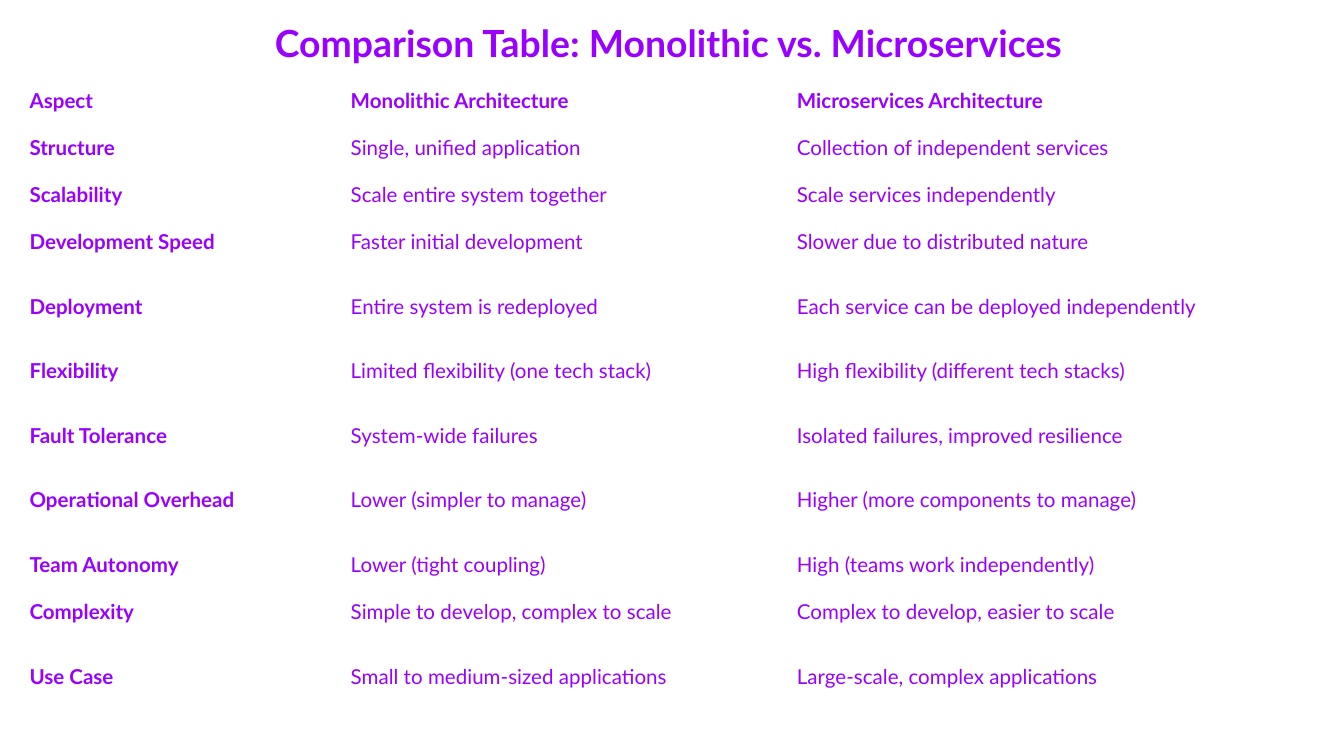
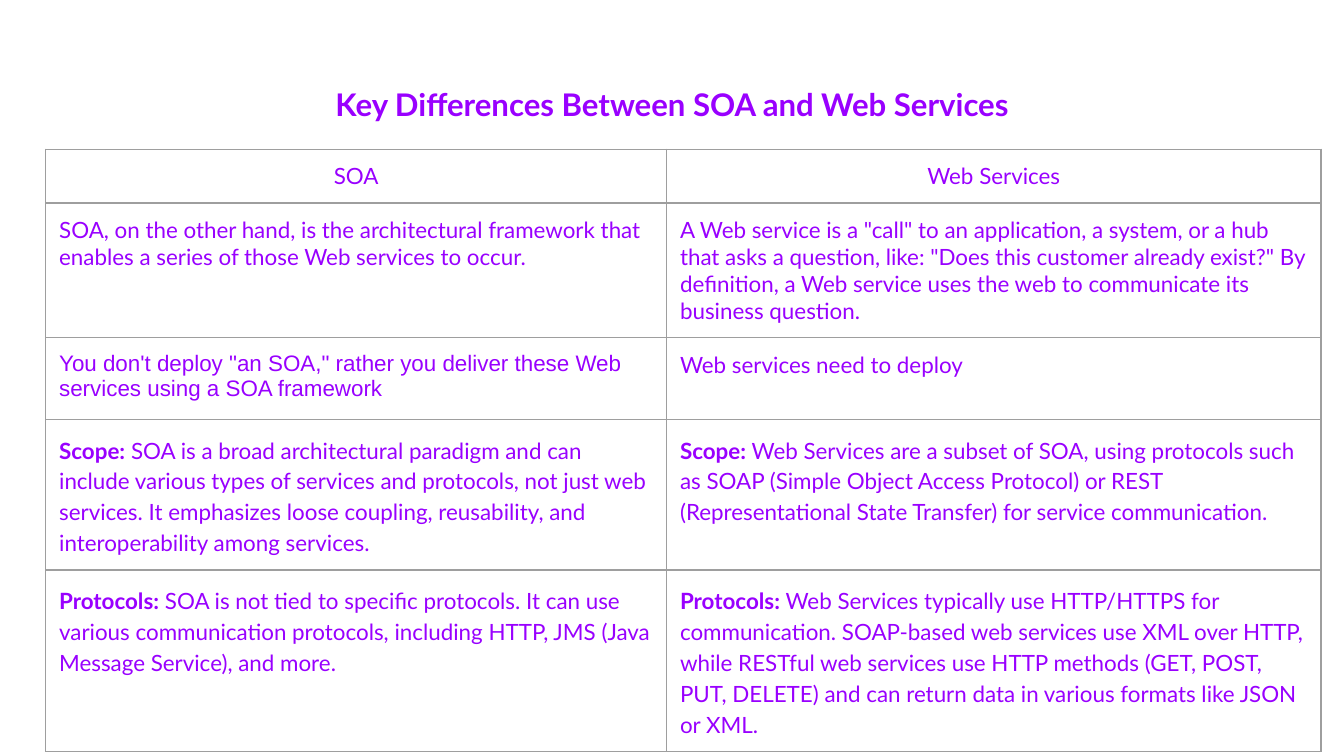
"""Build two comparison slides: monolithic vs. microservices, and SOA vs. web services."""
import lxml.etree
import pptx
import pptx.dml.color
import pptx.enum.text
import pptx.oxml.ns
import pptx.util

Inches = pptx.util.Inches
PURPLE = pptx.dml.color.RGBColor(0x99, 0x00, 0xFF)
GREY = pptx.dml.color.RGBColor(0x9E, 0x9E, 0x9E)
CENTER = pptx.enum.text.PP_ALIGN.CENTER
LEFT = pptx.enum.text.PP_ALIGN.LEFT


def write(tf, runs, size, align=LEFT, spacing=1.15, font="Lato"):
    tf.word_wrap = True
    p = tf.paragraphs[0]
    p.alignment = align
    p.line_spacing = spacing
    for text, bold in runs:
        r = p.add_run()
        r.text = text
        r.font.size = pptx.util.Pt(size)
        r.font.name = font
        r.font.bold = bold
        r.font.color.rgb = PURPLE


def add_grid(s, left, top, widths, heights, margin, border=None):
    table = s.shapes.add_table(len(heights), len(widths), Inches(left), Inches(top),
                               Inches(sum(widths)), Inches(sum(heights))).table
    table.first_row = table.horz_banding = False
    for column, width in zip(table.columns, widths):
        column.width = Inches(width)
    for row, height in zip(table.rows, heights):
        row.height = Inches(height)
    for cell in table.iter_cells():
        cell.margin_left = cell.margin_right = Inches(margin)
        cell.margin_top = cell.margin_bottom = Inches(margin)
        tcPr = cell._tc.get_or_add_tcPr()
        for side in ("a:lnL", "a:lnR", "a:lnT", "a:lnB"):
            ln = lxml.etree.SubElement(tcPr, pptx.oxml.ns.qn(side), w=str(pptx.util.Pt(0.75)))
            if border is None:
                lxml.etree.SubElement(ln, pptx.oxml.ns.qn("a:noFill"))
            else:
                fill = lxml.etree.SubElement(ln, pptx.oxml.ns.qn("a:solidFill"))
                lxml.etree.SubElement(fill, pptx.oxml.ns.qn("a:srgbClr"), val=str(border))
        cell.fill.background()
    return table


prs = pptx.Presentation()
prs.slide_width = Inches(10)
prs.slide_height = Inches(10) * 9 // 16

titles = [
    ("Comparison Table: Monolithic vs. Microservices", 20, (0, 0, 9.95, 0.54)),
    ("Key Differences Between SOA and Web Services", 16.7, (0.34, 0.49, 9.32, 0.63)),
]
for title, size, box in titles:
    s = prs.slides.add_slide(prs.slide_layouts[6])
    tf = s.shapes.add_textbox(*[Inches(v) for v in box]).text_frame
    tf.margin_left = tf.margin_right = tf.margin_top = tf.margin_bottom = Inches(0.1)
    write(tf, [(title, True)], size, CENTER)

aspects = [
    ("Aspect", "Monolithic Architecture", "Microservices Architecture"),
    ("Structure", "Single, unified application", "Collection of independent services"),
    ("Scalability", "Scale entire system together", "Scale services independently"),
    ("Development Speed", "Faster initial development", "Slower due to distributed nature"),
    ("Deployment", "Entire system is redeployed", "Each service can be deployed independently"),
    ("Flexibility", "Limited flexibility (one tech stack)", "High flexibility (different tech stacks)"),
    ("Fault Tolerance", "System-wide failures", "Isolated failures, improved resilience"),
    ("Operational Overhead", "Lower (simpler to manage)", "Higher (more components to manage)"),
    ("Team Autonomy", "Lower (tight coupling)", "High (teams work independently)"),
    ("Complexity", "Simple to develop, complex to scale", "Complex to develop, easier to scale"),
    ("Use Case", "Small to medium-sized applications", "Large-scale, complex applications"),
]
short_rows = (0, 1, 2, 8)
heights = [0.33 if i in short_rows else 0.48 for i in range(len(aspects))]
table = add_grid(prs.slides[0], 0.15, 0.56, (2.39, 3.32, 3.98), heights, 0.07)
for i, row in enumerate(aspects):
    for j, text in enumerate(row):
        write(table.cell(i, j).text_frame, [(text, i == 0 or j == 0)], 11)

differences = [
    ("", "SOA", "Web Services"),
    ("",
     "SOA, on the other hand, is the architectural framework that enables a series of those "
     "Web services to occur.",
     "A Web service is a \"call\" to an application, a system, or a hub that asks a question, "
     "like: \"Does this customer already exist?\" By definition, a Web service uses the web to "
     "communicate its business question."),
    ("",
     "You don't deploy \"an SOA,\" rather you deliver these Web services using a SOA framework",
     "Web services need to deploy"),
    ("Scope:",
     " SOA is a broad architectural paradigm and can include various types of services and "
     "protocols, not just web services. It emphasizes loose coupling, reusability, and "
     "interoperability among services.",
     " Web Services are a subset of SOA, using protocols such as SOAP (Simple Object Access "
     "Protocol) or REST (Representational State Transfer) for service communication."),
    ("Protocols:",
     " SOA is not tied to specific protocols. It can use various communication protocols, "
     "including HTTP, JMS (Java Message Service), and more.",
     " Web Services typically use HTTP/HTTPS for communication. SOAP-based web services use XML "
     "over HTTP, while RESTful web services use HTTP methods (GET, POST, PUT, DELETE) and can "
     "return data in various formats like JSON or XML."),
]
table = add_grid(prs.slides[1], 0.34, 1.11, (4.62, 4.87), (0.37, 0.99, 0.61, 1.1, 0.98), 0.1, GREY)
for i, (label, *texts) in enumerate(differences):
    for j, text in enumerate(texts):
        runs = [(label, True), (text, False)] if label else [(text, False)]
        write(table.cell(i, j).text_frame, runs, 12, CENTER if i == 0 else LEFT,
              1.15 if label else 1.0, "Arial" if (i, j) == (2, 0) else "Lato")

prs.save("out.pptx")
